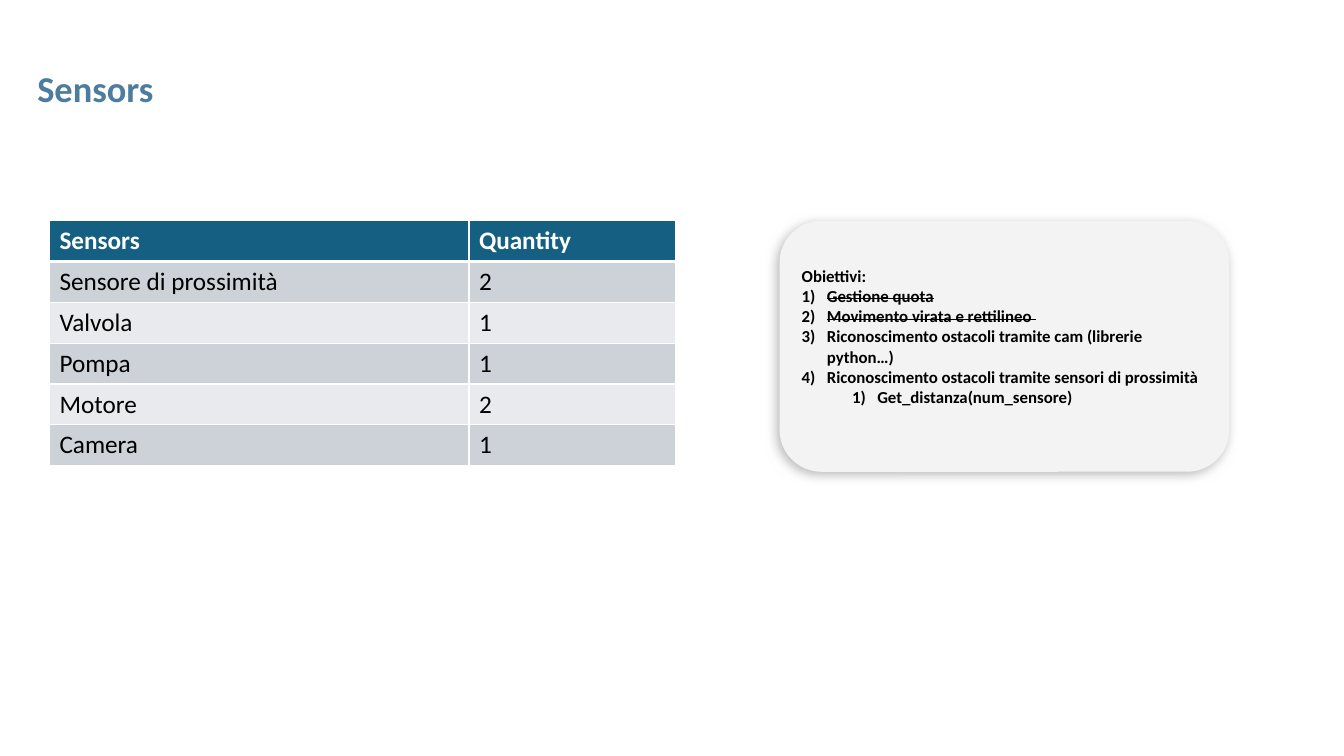
from lxml import etree
from pptx import Presentation, util as u
from pptx.dml.color import RGBColor
from pptx.enum import shapes, text
from pptx.oxml import parse_xml
from pptx.oxml.ns import nsdecls, qn


def colour(value):
    return RGBColor.from_string(value)


def write(paragraph, words, size=12, tint="000000", bold=False, strike=False):
    paragraph.alignment = text.PP_ALIGN.LEFT
    run = paragraph.add_run()
    run.text = words
    font = run.font
    font.name, font.size, font.bold = "Calibri", u.Pt(size), bold
    font.color.rgb = colour(tint)
    if strike:
        run._r.get_or_add_rPr().set("strike", "sngStrike")


class Page:
    title_tint = "4C7C9E"
    header_fill = "156082"
    band_fills = ("CCD2D8", "E8EAED")
    card_fill = "F3F3F3"
    shadow_tint = "B7B7B7"

    def __init__(self, deck):
        self.deck = deck
        self.slide = deck.slides.add_slide(deck.slide_layouts[6])

    def place(self, left, top, width, height):
        across, down = self.deck.slide_width / 100, self.deck.slide_height / 100
        return [round(n) for n in
                (left * across, top * down, width * across, height * down)]

    def title(self, words, area):
        frame = self.slide.shapes.add_textbox(*self.place(*area)).text_frame
        frame.word_wrap = True
        frame.margin_left = frame.margin_right = 0
        write(frame.paragraphs[0], words, size=26, tint=self.title_tint, bold=True)

    def table(self, rows, area, shares):
        left, top, width, height = self.place(*area)
        grid = self.slide.shapes.add_table(
            len(rows), len(shares), left, top, width, height).table
        grid.horz_banding = False
        for column, share in zip(grid.columns, shares):
            column.width = round(width * share)
        for r, row in enumerate(rows):
            grid.rows[r].height = round(height / len(rows))
            header = r == 0
            fill = self.header_fill if header else self.band_fills[(r - 1) % 2]
            for c, words in enumerate(row):
                cell = grid.cell(r, c)
                self.borders(cell, top=3 if r == 1 else 1, bottom=3 if header else 1)
                cell.fill.solid()
                cell.fill.fore_color.rgb = colour(fill)
                write(cell.text_frame.paragraphs[0], words, size=18, bold=header,
                      tint="FFFFFF" if header else "000000")

    def borders(self, cell, top, bottom):
        properties = cell._tc.get_or_add_tcPr()
        for side, width in zip("LRTB", (1, 1, top, bottom)):
            properties.append(parse_xml(
                f'<a:ln{side} {nsdecls("a")} w="{u.Pt(width)}"><a:solidFill>'
                f'<a:srgbClr val="FFFFFF"/></a:solidFill></a:ln{side}>'))

    def card(self, heading, goals, area):
        card = self.slide.shapes.add_shape(
            shapes.MSO_SHAPE.ROUNDED_RECTANGLE, *self.place(*area))
        card.fill.solid()
        card.fill.fore_color.rgb = colour(self.card_fill)
        card.line.fill.background()
        self.soft_shadow(card)
        frame = card.text_frame
        frame.word_wrap = True
        frame.vertical_anchor = text.MSO_ANCHOR.MIDDLE
        frame.margin_left = frame.margin_right = frame.margin_top = u.Inches(0.1)
        frame.margin_bottom = u.Inches(0.3)
        write(frame.paragraphs[0], heading, bold=True)
        for words, level, done in goals:
            goal = frame.add_paragraph()
            goal.level = level
            write(goal, words, bold=True, strike=done)
            self.number(goal, 0.25 + 0.5 * level)

    def number(self, paragraph, indent):
        properties = paragraph._p.get_or_add_pPr()
        properties.set("marL", str(u.Inches(indent)))
        properties.set("indent", str(-u.Inches(0.25)))
        etree.SubElement(properties, qn("a:buFont"), typeface="+mj-lt")
        etree.SubElement(properties, qn("a:buAutoNum"), type="arabicParenR")

    def soft_shadow(self, shape):
        shape.shadow.inherit = False
        effects = shape._element.spPr.find(qn("a:effectLst"))
        effects.append(parse_xml(
            f'<a:outerShdw {nsdecls("a")} blurRad="{u.Pt(7.9)}" dist="{u.Pt(3)}" '
            f'dir="{141 * 60000}" algn="ctr" rotWithShape="0">'
            f'<a:srgbClr val="{self.shadow_tint}"><a:alpha val="95000"/></a:srgbClr>'
            f'</a:outerShdw>'))


def main():
    deck = Presentation()
    deck.slide_width, deck.slide_height = u.Inches(13.33), u.Inches(7.5)
    page = Page(deck)
    page.title("Sensors", (2.78, 8.13, 94.5, 6.27))
    page.card("Obiettivi:", [
        ("Gestione quota", 0, True),
        ("Movimento virata e rettilineo ", 0, True),
        ("Riconoscimento ostacoli tramite cam (librerie python…)", 0, False),
        ("Riconoscimento ostacoli tramite sensori di prossimità", 0, False),
        ("Get_distanza(num_sensore)", 1, False),
    ], (58, 29.2, 33.46, 33.2))
    page.table([
        ("Sensors", "Quantity"),
        ("Sensore di prossimità", "2"),
        ("Valvola", "1"),
        ("Pompa", "1"),
        ("Motore", "2"),
        ("Camera", "1"),
    ], (3.68, 29.2, 46.59, 32.4), (0.67, 0.33))
    deck.save("out.pptx")


if __name__ == "__main__":
    main()
